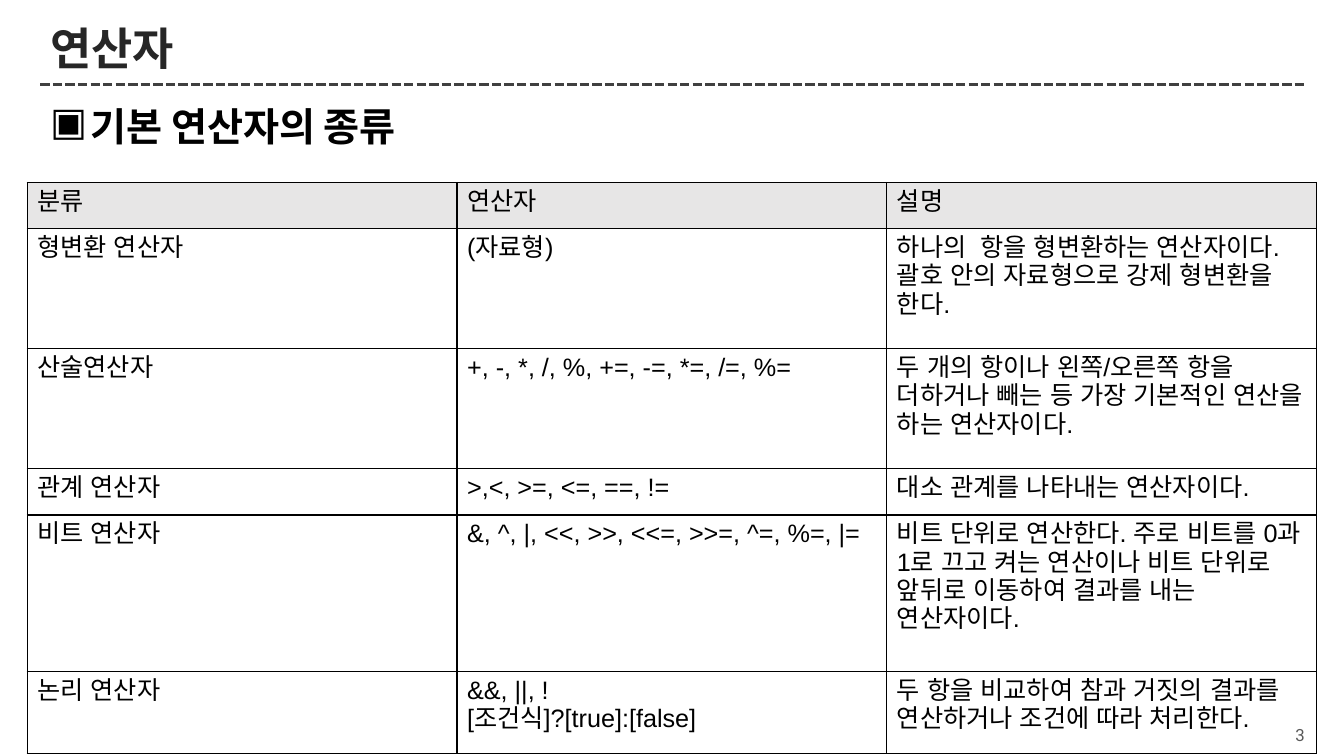
from dataclasses import dataclass

from lxml.etree import SubElement
from pptx import Presentation
from pptx.dml.color import RGBColor as Color
from pptx.enum.dml import MSO_LINE
from pptx.enum.shapes import MSO_CONNECTOR
from pptx.enum.text import MSO_ANCHOR as Anchor, PP_ALIGN as Align
from pptx.oxml.ns import qn
from pptx.util import Inches, Pt


@dataclass(frozen=True)
class Theme:
    """Colours, fonts and type sizes of the slide."""
    black: str = "000000"
    title: str = "262626"
    rule: str = "404040"
    number: str = "595959"
    header: str = "E7E6E6"
    heading_font: str = "Cabin"
    table_font: str = "Arial"
    number_font: str = "Roboto"
    title_size: int = 32
    topic_size: int = 28
    table_size: int = 18
    number_size: int = 12


THEME = Theme()
LEFT, WIDTH = 0.4, 12.56
# Row height, then category, operators and description
ROWS = [
    (0.46, "분류", "연산자", "설명"),
    (1.19, "형변환 연산자", "(자료형)",
     "하나의  항을 형변환하는 연산자이다. 괄호 안의 자료형으로 강제 형변환을 한다."),
    (1.19, "산술연산자", "+, -, *, /, %, +=, -=, *=, /=, %=",
     "두 개의 항이나 왼쪽/오른쪽 항을 더하거나 빼는 등 가장 기본적인 연산을 하는 연산자이다."),
    (0.46, "관계 연산자", ">,<, >=, <=, ==, !=", "대소 관계를 나타내는 연산자이다."),
    (1.55, "비트 연산자", "&, ^, |, <<, >>, <<=, >>=, ^=, %=, |=",
     "비트 단위로 연산한다. 주로 비트를 0과 1로 끄고 켜는 연산이나 비트 단위로 "
     "앞뒤로 이동하여 결과를 내는 연산자이다."),
    (0.82, "논리 연산자", "&&, ||, !\v[조건식]?[true]:[false]",
     "두 항을 비교하여 참과 거짓의 결과를 연산하거나 조건에 따라 처리한다."),
]


def write(frame, text, font, size, color, bold=False):
    """Fill a text frame, format its runs and return its paragraph."""
    frame.text = text
    frame.word_wrap = True
    paragraph = frame.paragraphs[0]
    for run in paragraph.runs:
        run.font.name = font
        run.font.size = Pt(size)
        run.font.bold = bold
        run.font.color.rgb = Color.from_string(color)
        SubElement(run._r.get_or_add_rPr(), qn("a:ea"), typeface=font)
    return paragraph


def add_border(cell, color, width):
    """Draw a solid line on all four sides of a table cell."""
    properties = cell._tc.get_or_add_tcPr()
    for side in ("lnL", "lnR", "lnT", "lnB"):
        line = SubElement(properties, qn(f"a:{side}"), w=str(Pt(width)))
        SubElement(SubElement(line, qn("a:solidFill")), qn("a:srgbClr"), val=color)


presentation = Presentation()
presentation.slide_width = Inches(13.33)
presentation.slide_height = Inches(7.5)
slide = presentation.slides.add_slide(presentation.slide_layouts[6])
shapes = slide.shapes

# Page number
page_number = shapes.add_textbox(Inches(12.54), Inches(7.13), Inches(0.5), Inches(0.32)).text_frame
page_number.vertical_anchor = Anchor.MIDDLE
write(page_number, "3", THEME.number_font, THEME.number_size, THEME.number).alignment = Align.RIGHT

# Title and dashed rule
rule = shapes.add_connector(MSO_CONNECTOR.STRAIGHT, Inches(LEFT), Inches(0.84),
                            Inches(LEFT + WIDTH), Inches(0.84))
rule.line.color.rgb = Color.from_string(THEME.rule)
rule.line.width = Pt(2.25)
rule.line.dash_style = MSO_LINE.SQUARE_DOT
SubElement(rule._element.spPr, qn("a:effectLst"))

title = shapes.add_textbox(Inches(LEFT), Inches(0.21), Inches(WIDTH), Inches(0.59)).text_frame
title.vertical_anchor = Anchor.MIDDLE
write(title, "연산자", THEME.heading_font, THEME.title_size, THEME.title, True).line_spacing = 0.9

# Bulleted topic
topic = shapes.add_textbox(Inches(LEFT), Inches(0.97), Inches(WIDTH), Inches(6.14)).text_frame
topic_line = write(topic, "기본 연산자의 종류", THEME.heading_font, THEME.topic_size, THEME.black, True)
topic_line.space_before = Pt(6)
bullet = topic_line._p.get_or_add_pPr()
bullet.set("marL", str(Inches(0.4)))
bullet.set("indent", str(-Inches(0.4)))
SubElement(SubElement(bullet, qn("a:buClr")), qn("a:srgbClr"), val=THEME.black)
SubElement(bullet, qn("a:buChar"), char="▣")

# Operator table
operators = shapes.add_table(len(ROWS), 3, Inches(0.27), Inches(1.81), Inches(12.79),
                             Inches(sum(height for height, *_ in ROWS))).table
for row_index, (height, *row) in enumerate(ROWS):
    operators.rows[row_index].height = Inches(height)
    for column_index, text in enumerate(row):
        cell = operators.cell(row_index, column_index)
        write(cell.text_frame, text, THEME.table_font, THEME.table_size, THEME.black)
        add_border(cell, THEME.black, 1)
        if row_index:
            cell.fill.background()
        else:
            cell.fill.solid()
            cell.fill.fore_color.rgb = Color.from_string(THEME.header)

presentation.save("out.pptx")
